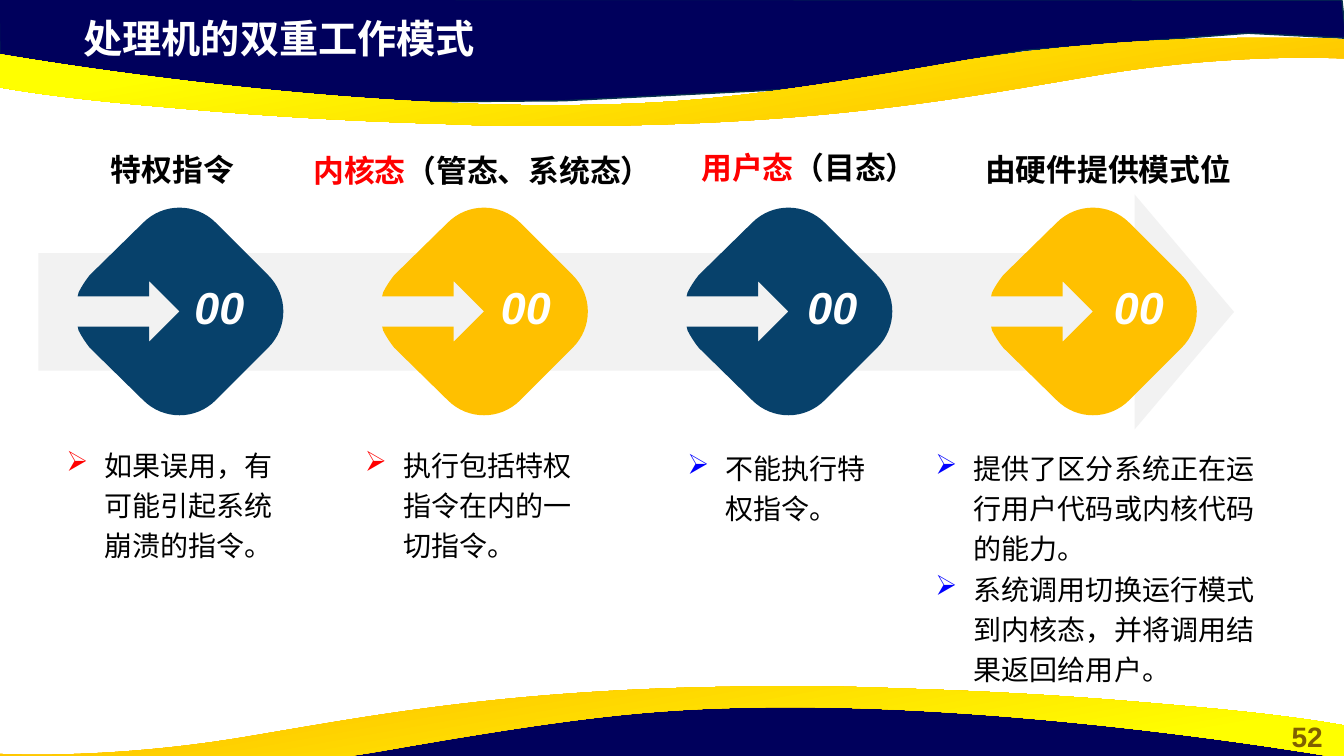
from dataclasses import dataclass

from lxml import etree
from pptx import Presentation
from pptx.dml.color import RGBColor
from pptx.enum.shapes import MSO_SHAPE
from pptx.enum.text import MSO_ANCHOR, PP_ALIGN
from pptx.oxml.ns import qn
from pptx.util import Inches, Pt

RIGHT_ARROW = MSO_SHAPE.RIGHT_ARROW
LEFT, CENTER, RIGHT = PP_ALIGN.LEFT, PP_ALIGN.CENTER, PP_ALIGN.RIGHT
TOP, MIDDLE = MSO_ANCHOR.TOP, MSO_ANCHOR.MIDDLE


@dataclass(frozen=True)
class Theme:
    """Colours, font and type sizes of the slide."""
    font: str = "Arial"
    navy: str = "00005C"
    navy_edge: str = "05304F"
    blue: str = "07416B"
    gold: str = "FFC000"
    yellow: str = "FFFF00"
    grey: str = "F2F2F2"
    white: str = "FFFFFF"
    black: str = "000000"
    red: str = "FF0000"
    bullet_blue: str = "0000FF"
    page_brown: str = "806000"
    title_size: int = 28
    heading_size: int = 22
    body_size: int = 20
    digit_size: int = 32


THEME = Theme()

NAVY_BAND = [(-0.01, -0.01), (0, 0.7), (2.93, 1.02), (5.59, 1), (7.95, 0.88),
             (10.16, 0.5), (12.38, 0.33), (13.35, 0.38), (13.31, 0)]
GOLD_BAND = [(5.57, 1.25), (5.21, 1.25, 4.82, 1.25, 4.41, 1.23),
             (3.04, 1.19, 2.17, 1.11, 1.49, 1.05), (0.37, 0.95, -0.02, 0.86, -0.05, 0.86),
             (-0.05, 0.53), (-0.05, 0.53, 3.15, 1.1, 5.88, 1.04),
             (6.88, 1.02, 7.63, 0.94, 9.51, 0.61), (11.39, 0.29, 13.33, 0.39, 13.33, 0.39),
             (13.33, 0.58), (13.3, 0.58), (13.07, 0.57, 12.07, 0.54, 10.8, 0.76),
             (9.55, 0.97, 8.12, 1.25, 5.57, 1.25)]
DIAMOND = [(0, -1.03), (0.13, -1.03, 0.26, -0.98, 0.36, -0.88), (0.88, -0.36),
           (1.08, -0.16, 1.08, 0.16, 0.88, 0.36), (0.36, 0.88),
           (0.16, 1.08, -0.16, 1.08, -0.36, 0.88), (-0.89, 0.36),
           (-0.93, 0.31, -0.97, 0.25, -1, 0.19), (-1.01, 0.15), (-0.3, 0.15), (-0.3, 0.3),
           (0, 0), (-0.3, -0.3), (-0.3, -0.15), (-1.01, -0.15), (-1, -0.19),
           (-0.97, -0.25, -0.93, -0.31, -0.89, -0.36), (-0.36, -0.88),
           (-0.26, -0.98, -0.13, -1.03, 0, -1.03)]

STEPS = [
    {"heading": [("特权指令", THEME.black)], "heading_at": (0.24, 1.45, 2.94, 0.43),
     "align": CENTER, "spacing": 1.0, "fill": THEME.blue, "bullet": THEME.red,
     "notes": ["如果误用，有可能引起系统崩溃的指令。"], "notes_at": (0.56, 4.33, 2.5, 1.6)},
    {"heading": [("内核态", THEME.red), ("（管态、系统态）", THEME.black)],
     "heading_at": (3.01, 1.42, 3.63, 0.43),
     "align": LEFT, "spacing": 1.1, "fill": THEME.gold, "bullet": THEME.red,
     "notes": ["执行包括特权指令在内的一切指令。"], "notes_at": (3.52, 4.33, 2.49, 0.94)},
    {"heading": [("用户态", THEME.red), ("（目态）", THEME.black)],
     "heading_at": (6.61, 1.43, 2.58, 0.43),
     "align": RIGHT, "spacing": 1.0, "fill": THEME.blue, "bullet": THEME.bullet_blue,
     "notes": ["不能执行特权指令。"], "notes_at": (6.72, 4.36, 2.21, 0.58)},
    {"heading": [("由硬件提供模式位", THEME.black)], "heading_at": (9.3, 1.45, 3.38, 0.43),
     "align": CENTER, "spacing": 1.0, "fill": THEME.gold, "bullet": THEME.bullet_blue,
     "notes": ["提供了区分系统正在运行用户代码或内核代码的能力。",
               "系统调用切换运行模式到内核态，并将调用结果返回给用户。"],
     "notes_at": (9.18, 4.36, 3.38, 1.6)},
]


def moved(outline, dx, dy, sign=1):
    """Shift an outline, turned by half a circle when sign is -1."""
    return [tuple((dy if i % 2 else dx) + sign * value for i, value in enumerate(segment))
            for segment in outline]


class SlideBuilder:
    """Draws styled elements on one slide."""

    def __init__(self, slide, theme):
        """Keep the slide and its theme."""
        self.shapes = slide.shapes
        self.theme = theme

    def paint(self, shape, color, edge=None):
        """Give a shape a plain fill and an optional edge."""
        shape.shadow.inherit = False
        shape.fill.solid()
        shape.fill.fore_color.rgb = RGBColor.from_string(color)
        if edge:
            shape.line.color.rgb = RGBColor.from_string(edge)
            shape.line.width = Pt(1)
        else:
            shape.line.fill.background()

    def outline(self, segments, color, edge=None):
        """Draw a closed outline of lines and cubic curves."""
        points = [(Inches(segment[i]), Inches(segment[i + 1]))
                  for segment in segments for i in range(0, len(segment), 2)]
        builder = self.shapes.build_freeform(*points[0], scale=1.0)
        builder.add_line_segments(points[1:], close=True)
        shape = builder.convert_to_shape()
        lines = iter(list(shape._element.iter(qn("a:lnTo"))))
        for segment in segments[1:]:
            strokes = [next(lines) for _ in range(len(segment) // 2)]
            if len(strokes) == 3:
                curve = etree.Element(qn("a:cubicBezTo"))
                strokes[0].addprevious(curve)
                for stroke in strokes:
                    curve.append(stroke[0])
                    stroke.getparent().remove(stroke)
        self.paint(shape, color, edge)
        return shape

    def ribbon(self, segments, angle):
        """Draw an outline shaded from gold to yellow."""
        fill = self.outline(segments, self.theme.gold).fill
        fill.gradient()
        fill.gradient_angle = angle
        shades = ((0.11, self.theme.gold), (0.78, self.theme.yellow))
        for stop, (position, color) in zip(fill.gradient_stops, shades):
            stop.position = position
            stop.color.rgb = RGBColor.from_string(color)

    def arrow(self, box, color):
        """Draw the wide arrow behind the steps."""
        shape = self.shapes.add_shape(RIGHT_ARROW, *map(Inches, box))
        shape.adjustments[0], shape.adjustments[1] = 0.5, 0.423
        self.paint(shape, color)

    def text(self, box, paragraphs, size, align=LEFT, spacing=1.0, anchor=TOP,
             bullet=None, **style):
        """Write paragraphs made of (wording, colour) runs."""
        frame = self.shapes.add_textbox(*map(Inches, box)).text_frame
        frame.word_wrap = True
        frame.vertical_anchor = anchor
        font_format = {"name": self.theme.font, "size": Pt(size), **style}
        for index, runs in enumerate(paragraphs):
            paragraph = frame.add_paragraph() if index else frame.paragraphs[0]
            if bullet:
                self.bullet(paragraph, bullet)
            for name, value in {"alignment": align, "line_spacing": spacing}.items():
                setattr(paragraph, name, value)
            for wording, color in runs:
                run = paragraph.add_run()
                run.text = wording
                for name, value in font_format.items():
                    setattr(run.font, name, value)
                run.font.color.rgb = RGBColor.from_string(color)

    def bullet(self, paragraph, color):
        """Add a hanging arrowhead bullet."""
        properties = paragraph._p.get_or_add_pPr()
        properties.set("marL", str(Inches(0.38)))
        properties.set("indent", str(Inches(-0.38)))
        tint = etree.SubElement(properties, qn("a:buClr"))
        etree.SubElement(tint, qn("a:srgbClr"), val=color)
        etree.SubElement(properties, qn("a:buChar"), char="➢")


def main():
    """Build and save the slide."""
    deck = Presentation()
    deck.slide_width, deck.slide_height = Inches(13.33), Inches(7.5)
    page = SlideBuilder(deck.slides.add_slide(deck.slide_layouts[6]), THEME)

    page.outline(NAVY_BAND, THEME.navy, THEME.navy_edge)
    page.ribbon(GOLD_BAND, 100)
    page.outline(moved(NAVY_BAND, 13.32, 7.93, -1), THEME.navy, THEME.navy_edge)
    page.ribbon(moved(GOLD_BAND, 13.3, 8.06, -1), 280)
    page.text((12.6, 7.09, 0.73, 0.44), [[("52", THEME.page_brown)]], THEME.body_size,
              align=CENTER, bold=True)
    page.text((0.73, 0.09, 7.68, 0.57), [[("处理机的双重工作模式", THEME.white)]],
              THEME.title_size, bold=True)

    page.arrow((0.38, 1.93, 11.86, 2.33), THEME.grey)
    for index, step in enumerate(STEPS):
        page.outline(moved(DIAMOND, 1.78 + 3.02 * index, 3.09), step["fill"])
        page.text(step["heading_at"], [step["heading"]], THEME.heading_size,
                  align=step["align"], spacing=step["spacing"], bold=True)
        page.text((1.79 + 3.04 * index, 2.67, 0.77, 0.74), [[("00", THEME.white)]],
                  THEME.digit_size, align=CENTER, anchor=MIDDLE, bold=True, italic=True)
        page.text(step["notes_at"], [[(note, THEME.black)] for note in step["notes"]],
                  THEME.body_size, spacing=1.2, bullet=step["bullet"])
    deck.save("out.pptx")


if __name__ == "__main__":
    main()
